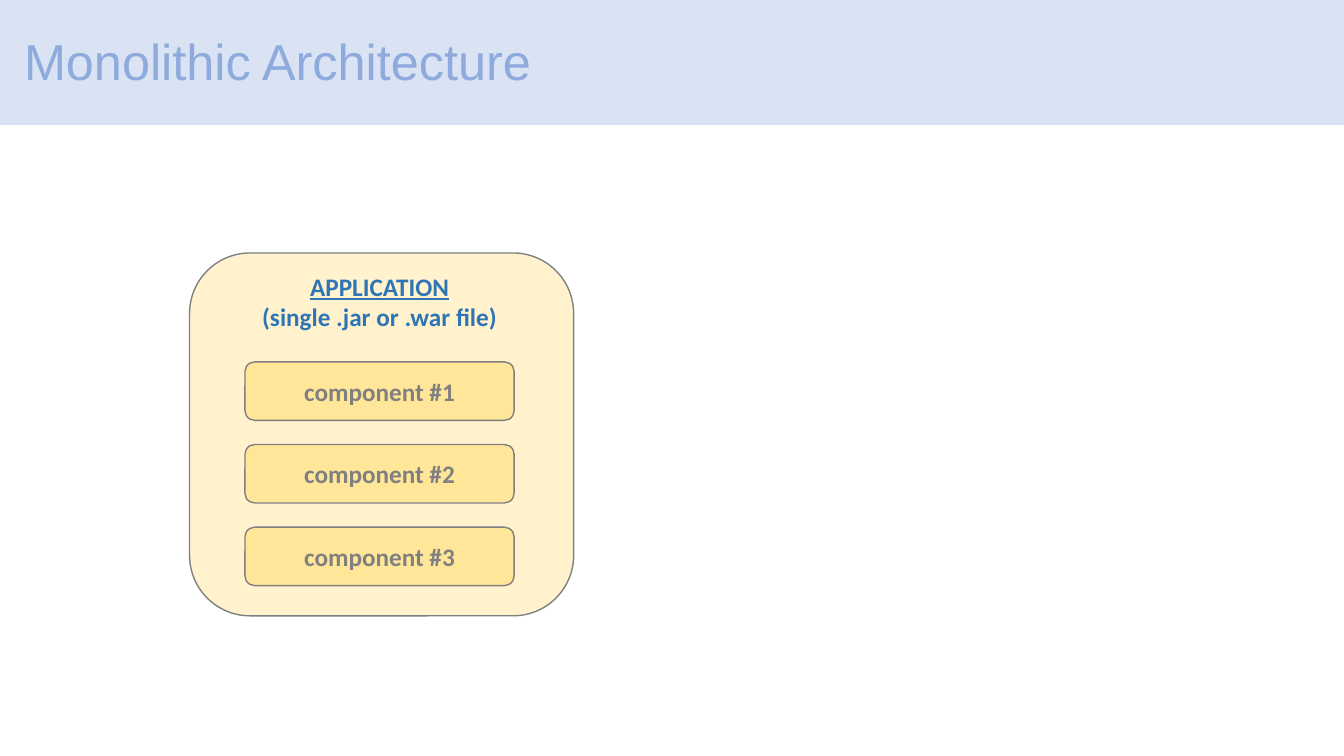
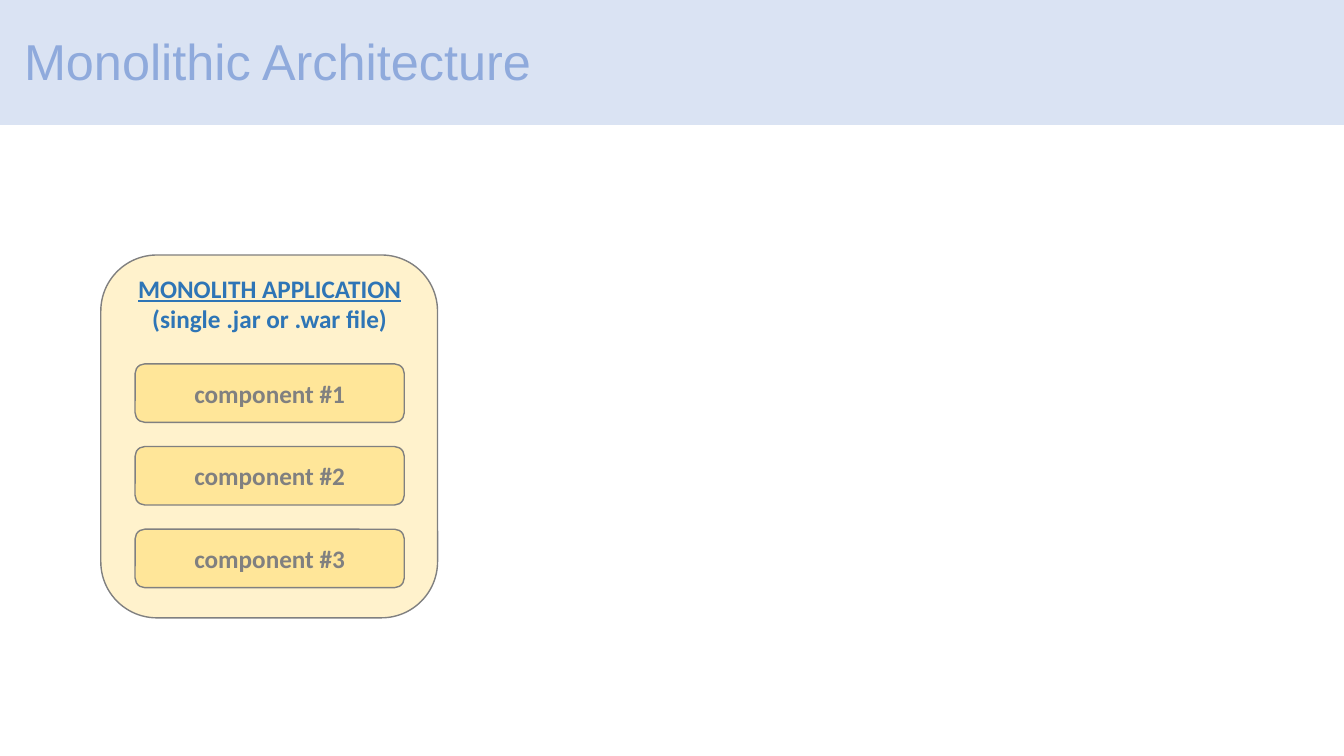
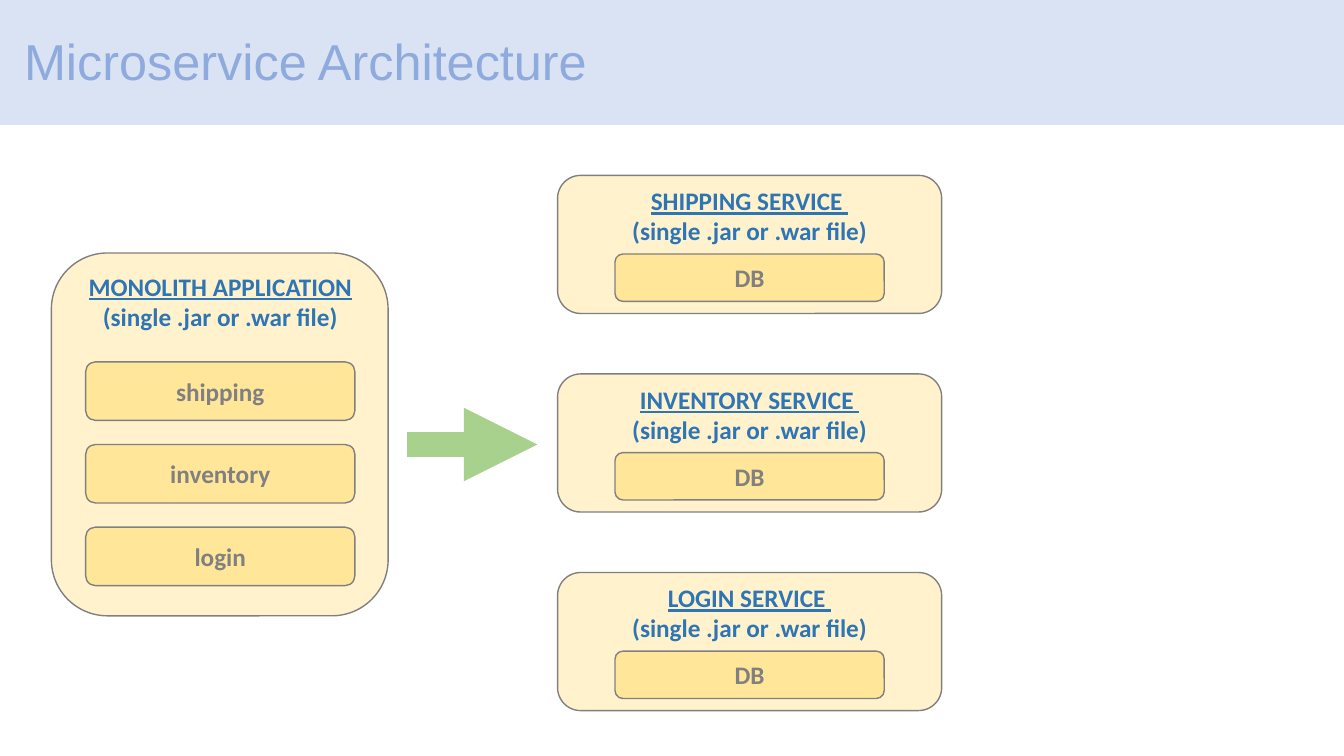
import pptx
import pptx.dml.color
import pptx.enum.shapes
import pptx.enum.text
import pptx.oxml.ns
import pptx.util
from lxml import etree

PX = 9144  # EMU in one px: 100 px to the inch
BAND, TITLE = "DAE3F3", "8FAADC"
PANEL, COMPONENT, OUTLINE = "FFF2CC", "FFE699", "808080"
HEADING, ARROW, WHITE = "2E75B6", "A9D18E", "FFFFFF"
PACKAGING = "(single .jar or .war file)"
COMPONENT_WIDTH, HEADING_WIDTH, HEADING_HEIGHT = 267, 283, 71

SHAPES = pptx.enum.shapes.MSO_SHAPE
ALIGN = pptx.enum.text.PP_ALIGN
ANCHOR = pptx.enum.text.MSO_ANCHOR


def emu(*lengths):
    return [pptx.util.Emu(length * PX) for length in lengths]


def color(hex_string):
    return pptx.dml.color.RGBColor.from_string(hex_string)


def style_text(paragraph, font, size, hex_string, bold=False, align=ALIGN.CENTER):
    paragraph.alignment = align
    for run in paragraph.runs:
        run.font.name = font
        run.font.size = pptx.util.Pt(size)
        run.font.bold = bold
        run.font.color.rgb = color(hex_string)


def add_box(slide, kind, box, fill, line):
    shape = slide.shapes.add_shape(kind, *emu(*box))
    shape.shadow.inherit = False
    shape.fill.solid()
    shape.fill.fore_color.rgb = color(fill)
    shape.line.color.rgb = color(line)
    shape.line.width = pptx.util.Pt(1)
    return shape


def add_title_band(slide, title):
    add_box(slide, SHAPES.RECTANGLE, (-14, -4, 1357, 129), BAND, WHITE)
    text_frame = slide.shapes.add_textbox(*emu(14, -9, 1150, 145)).text_frame
    text_frame.word_wrap = True
    text_frame.vertical_anchor = ANCHOR.MIDDLE
    text_frame.text = title
    paragraph = text_frame.paragraphs[0]
    paragraph.line_spacing = 0.9
    style_text(paragraph, "Arial", 36, TITLE, align=ALIGN.LEFT)


def add_heading(slide, center, top, name):
    box = (center - HEADING_WIDTH / 2, top, HEADING_WIDTH, HEADING_HEIGHT)
    text_frame = slide.shapes.add_textbox(*emu(*box)).text_frame
    text_frame.word_wrap = False
    text_frame.auto_size = pptx.enum.text.MSO_AUTO_SIZE.SHAPE_TO_FIT_TEXT
    text_frame.text = f"{name}\n{PACKAGING}"
    for paragraph in text_frame.paragraphs:
        style_text(paragraph, "Calibri", 18, HEADING, bold=True)
    text_frame.paragraphs[0].runs[0].font.underline = True


def add_component(slide, box, name):
    shape = add_box(slide, SHAPES.ROUNDED_RECTANGLE, box, COMPONENT, OUTLINE)
    shape.text_frame.vertical_anchor = ANCHOR.MIDDLE
    shape.text_frame.text = name
    style_text(shape.text_frame.paragraphs[0], "Calibri", 18, OUTLINE, bold=True)


def add_panel(slide, box, heading, components, inset, heading_offset, first, height, step=0):
    """Rounded panel with a heading over a column of components; offsets start at its corner."""
    left, top = box[:2]
    add_box(slide, SHAPES.ROUNDED_RECTANGLE, box, PANEL, OUTLINE)
    column = left + inset
    for index, name in enumerate(components):
        add_component(slide, (column, top + first + index * step, COMPONENT_WIDTH, height), name)
    add_heading(slide, column + COMPONENT_WIDTH / 2, top + heading_offset, heading)


def add_application(slide, left, top, width, inset, heading, components):
    add_panel(slide, (left, top, width, 360), heading, components, inset,
              heading_offset=13, first=108, height=58, step=82)


def add_service(slide, left, top, name):
    add_panel(slide, (left, top, 381, 137), f"{name} SERVICE ", ["DB"], inset=57,
              heading_offset=5, first=78, height=47)


def add_arrow(slide, left, right, middle):
    connector = slide.shapes.add_connector(
        pptx.enum.shapes.MSO_CONNECTOR.STRAIGHT, *emu(left, middle, right, middle))
    connector.line.color.rgb = color(ARROW)
    connector.line.width = pptx.util.Pt(17.5)
    qn = pptx.oxml.ns.qn
    etree.SubElement(connector.line._get_or_add_ln(), qn("a:tailEnd"), type="triangle")
    etree.SubElement(connector._element.spPr, qn("a:effectLst"))


def add_slide(presentation, title):
    slide = presentation.slides.add_slide(presentation.slide_layouts[6])
    add_title_band(slide, title)
    return slide


def main():
    presentation = pptx.Presentation()
    presentation.slide_width, presentation.slide_height = emu(1333, 750)
    numbered = [f"component #{number}" for number in (1, 2, 3)]
    domains = ["shipping", "inventory", "login"]

    slide = add_slide(presentation, "Monolithic Architecture")
    add_application(slide, 188, 251, 381, 55, "APPLICATION", numbered)

    slide = add_slide(presentation, "Monolithic Architecture")
    add_application(slide, 100, 253, 334, 34, "MONOLITH APPLICATION", numbered)

    slide = add_slide(presentation, "Microservice Architecture")
    add_application(slide, 51, 251, 334, 34, "MONOLITH APPLICATION", domains)
    add_arrow(slide, 404, 533, 441)
    for index, domain in enumerate(domains):
        add_service(slide, 553, 174 + index * 197, domain.upper())

    presentation.save("out.pptx")


if __name__ == "__main__":
    main()
